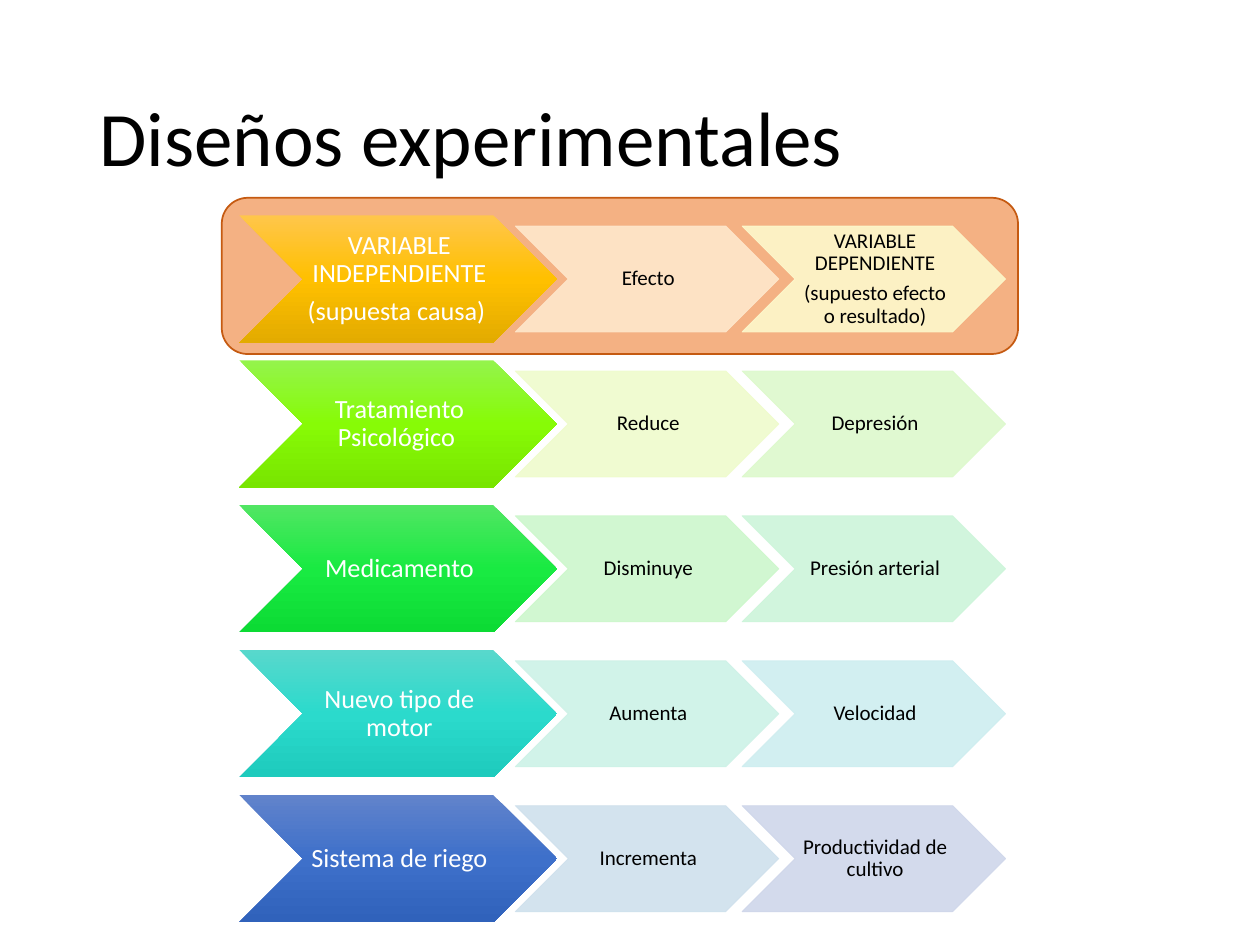
import copy

import pptx
import pptx.dml.color
import pptx.enum.shapes
import pptx.enum.text
import pptx.oxml.ns
import pptx.util
from lxml import etree
from pptx.util import Inches

COLORS = {"text": "000000", "light": "FFFFFF", "panel": "F4B183", "panel_line": "C55A11"}
ROWS = [
    ("VARIABLE INDEPENDIENTE\n(supuesta causa) ", "Efecto",
     "VARIABLE DEPENDIENTE\n(supuesto efecto o resultado)",
     ("FFC64B", "FFC000", "E3AB00"), "FFE8CC", "FDF9CC"),
    ("Tratamiento Psicológico ", "Reduce", "Depresión",
     ("94F44C", "87FB06", "78E500"), "EFFBCC", "DDF9CC"),
    ("Medicamento", "Disminuye", "Presión arterial",
     ("51E663", "19EA42", "0CDB34"), "CDF7CC", "CDF5DA"),
    ("Nuevo tipo de motor", "Aumenta", "Velocidad",
     ("58D8CC", "2BDACC", "1ECBBD"), "CDF2E7", "CEEEF0"),
    ("Sistema de riego", "Incrementa", "Productividad de cultivo",
     ("6183CB", "3E70CA", "3062BB"), "CFE1ED", "CFD6EA"),
]
ROW_PITCH = 1.15
CAUSE_SIZE = (2.52, 1.01)
STEP_SIZE = (2.09, 0.84)
STEP_OFFSETS = (2.19, 3.99)


def rgb(color):
    """Return a color object for a hex string."""
    return pptx.dml.color.RGBColor.from_string(color)


def format_text(text_frame, text, size, color, centered=True):
    """Write paragraphs with one shared format."""
    text_frame.word_wrap = True
    text_frame.vertical_anchor = pptx.enum.text.MSO_ANCHOR.MIDDLE
    text_frame.text = text
    alignment = pptx.enum.text.PP_ALIGN
    for paragraph in text_frame.paragraphs:
        paragraph.alignment = alignment.CENTER if centered else alignment.LEFT
        paragraph.line_spacing = 0.9
        paragraph.space_after = pptx.util.Pt(0.35 * size if centered else 0)
        for run in paragraph.runs:
            run.font.name = "Calibri"
            run.font.size = pptx.util.Pt(size)
            run.font.color.rgb = rgb(color)


def fill_gradient(shape, colors):
    """Fill a shape from top to bottom with evenly spaced colors."""
    shape.fill.gradient()
    shape.fill.gradient_angle = 270
    stop_list = shape.element.spPr.find(".//" + pptx.oxml.ns.qn("a:gsLst"))
    stop_list.append(copy.deepcopy(stop_list[0]))
    for index, (stop, color) in enumerate(zip(shape.fill.gradient_stops, colors)):
        stop.position = index / (len(colors) - 1)
        stop.color.rgb = rgb(color)


def fill_translucent(shape, color):
    """Give fill and line one color at 90 percent opacity."""
    shape.fill.solid()
    shape.fill.fore_color.rgb = rgb(color)
    shape.line.color.rgb = rgb(color)
    shape.line.width = pptx.util.Pt(0.5)
    for color_element in shape.element.spPr.iter(pptx.oxml.ns.qn("a:srgbClr")):
        etree.SubElement(color_element, pptx.oxml.ns.qn("a:alpha"), val="90000")


def add_chevron(slide, left, top, size, text, font_size, color):
    """Add an unfilled chevron with centered text."""
    shape = slide.shapes.add_shape(
        pptx.enum.shapes.MSO_SHAPE.CHEVRON,
        Inches(left), Inches(top), Inches(size[0]), Inches(size[1]))
    shape.shadow.inherit = False
    frame = shape.text_frame
    frame.margin_left = Inches(0.02)
    frame.margin_right = 0
    frame.margin_top = frame.margin_bottom = Inches(0.01)
    format_text(frame, text, font_size, color)
    return shape


def add_row(slide, left, top, row):
    """Add one chain of cause, effect and result."""
    cause, effect, result, gradient, effect_color, result_color = row
    shape = add_chevron(slide, left, top, CAUSE_SIZE, cause, 15, COLORS["light"])
    fill_gradient(shape, gradient)
    shape.line.fill.background()
    step_top = top + (CAUSE_SIZE[1] - STEP_SIZE[1]) / 2
    steps = zip(STEP_OFFSETS, (effect, result), (effect_color, result_color))
    for offset, text, color in steps:
        shape = add_chevron(
            slide, left + offset, step_top, STEP_SIZE, text, 12, COLORS["text"])
        fill_translucent(shape, color)


def add_panel(slide, left, top, width, height):
    """Add the rounded panel behind the heading row."""
    shape = slide.shapes.add_shape(
        pptx.enum.shapes.MSO_SHAPE.ROUNDED_RECTANGLE,
        Inches(left), Inches(top), Inches(width), Inches(height))
    shape.shadow.inherit = False
    shape.fill.solid()
    shape.fill.fore_color.rgb = rgb(COLORS["panel"])
    shape.line.color.rgb = rgb(COLORS["panel_line"])
    shape.line.width = pptx.util.Pt(1)


def add_title(slide, left, top, width, height):
    """Add the slide title."""
    box = slide.shapes.add_textbox(
        Inches(left), Inches(top), Inches(width), Inches(height))
    format_text(box.text_frame, "Diseños experimentales", 44, COLORS["text"], False)


def main():
    """Build and save the slide."""
    presentation = pptx.Presentation()
    presentation.slide_width = Inches(10)
    presentation.slide_height = Inches(7.5)
    slide = presentation.slides.add_slide(presentation.slide_layouts[6])
    add_panel(slide, 1.76, 1.57, 6.32, 1.24)
    add_title(slide, 0.69, 0.4, 8.62, 1.45)
    for index, row in enumerate(ROWS):
        add_row(slide, 1.9, 1.71 + index * ROW_PITCH, row)
    presentation.save("out.pptx")


if __name__ == "__main__":
    main()
